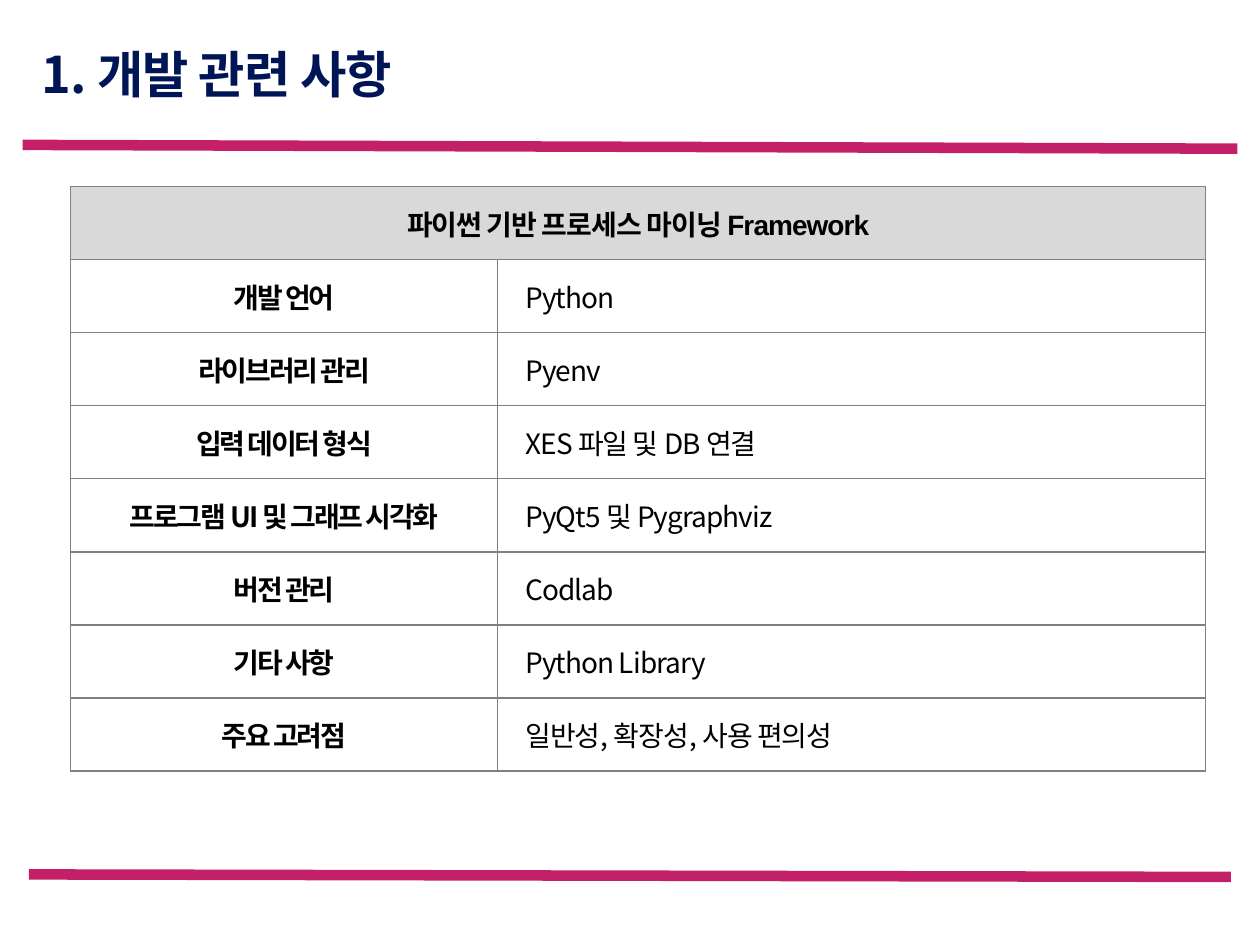
from lxml import etree
from pptx import Presentation
from pptx import util as u
from pptx.dml.color import RGBColor
from pptx.enum import shapes, text
from pptx.oxml import ns

WIDE, HIGH = 10, 7.5
SANS, LATIN = "Noto Sans CJK KR", "Arial"
HUES = {"rule": "C42067", "title": "001555", "text": "000000",
        "head": "D9D9D9", "cell": "FFFFFF", "grid": "808080"}
TITLE = "1. 개발 관련 사항"
HEAD = "파이썬 기반 프로세스 마이닝 Framework"
ROWS = [
    ("개발 언어", "Python"),
    ("라이브러리 관리", "Pyenv"),
    ("입력 데이터 형식", "XES 파일 및 DB 연결"),
    ("프로그램 UI 및 그래프 시각화", "PyQt5 및 Pygraphviz"),
    ("버전 관리", "Codlab"),
    ("기타 사항", "Python Library"),
    ("주요 고려점", "일반성, 확장성, 사용 편의성"),
]
COLS, ROW = (3.39, 5.62), 0.58
RULES = [(0.18, 1.15, 1.18), (0.23, 6.94, 6.96)]  # side margin, left y, right y


def hue(name):
    return RGBColor.from_string(HUES[name])


def node(parent, tag, **attrs):
    return etree.SubElement(parent, ns.qn(tag), **attrs)


def style(par, size, color, bold, track, latin=SANS):
    for run in par.runs:
        font = run.font
        font.size, font.bold, font.name = u.Pt(size), bold, latin
        font.color.rgb = hue(color)
        props = run._r.get_or_add_rPr()
        props.set("spc", str(round(track * 100)))
        node(props, "a:ea", typeface=SANS)


def add_title(slide):
    title = slide.shapes.title
    title.left, title.top = u.Inches(0.23), u.Inches(0.4)
    title.width, title.height = u.Inches(9.41), u.Inches(0.43)
    frame = title.text_frame
    frame.text = TITLE
    frame.auto_size = text.MSO_AUTO_SIZE.NONE
    frame.vertical_anchor = text.MSO_ANCHOR.MIDDLE
    par = frame.paragraphs[0]
    par.alignment, par.line_spacing = text.PP_ALIGN.LEFT, 0.9
    style(par, 28.8, "title", True, -0.5)


def add_rule(slide, side, start, end):
    line = slide.shapes.add_connector(
        shapes.MSO_CONNECTOR.STRAIGHT, u.Inches(side), u.Inches(start),
        u.Inches(WIDE - side), u.Inches(end))
    line.line.color.rgb, line.line.width = hue("rule"), u.Pt(6)
    node(line._element.spPr, "a:effectLst")


def frame_cell(cell):
    props = cell._tc.get_or_add_tcPr()
    for spot, edge in enumerate(("a:lnL", "a:lnR", "a:lnT", "a:lnB")):
        line = etree.Element(ns.qn(edge), w=str(u.Pt(1)))
        node(node(line, "a:solidFill"), "a:srgbClr", val=HUES["grid"])
        props.insert(spot, line)


def fill_cell(cell, words, fill="cell", label=True, track=-1.2, latin=SANS):
    cell.text_frame.text = words
    cell.vertical_anchor = text.MSO_ANCHOR.MIDDLE
    cell.fill.solid()
    cell.fill.fore_color.rgb = hue(fill)
    par = cell.text_frame.paragraphs[0]
    par.space_before = u.Pt(10 if label else 13)
    if label:
        par.alignment = text.PP_ALIGN.CENTER
    else:
        par._p.get_or_add_pPr().set("marL", str(u.Inches(0.12)))
    style(par, 16, "text", label, track, latin)


def add_grid(slide):
    count = len(ROWS) + 1
    table = slide.shapes.add_table(
        count, len(COLS), u.Inches(0.56), u.Inches(1.48),
        u.Inches(sum(COLS)), u.Inches(ROW * count)).table
    table.first_row = table.horz_banding = False
    for col, width in zip(table.columns, COLS):
        col.width = u.Inches(width)
    for row in table.rows:
        row.height = u.Inches(ROW)

    # Heading across both columns
    table.cell(0, 0).merge(table.cell(0, 1))
    fill_cell(table.cell(0, 0), HEAD, "head", track=-0.5, latin=LATIN)

    # Label and value pairs
    for spot, (label, value) in enumerate(ROWS, 1):
        fill_cell(table.cell(spot, 0), label)
        fill_cell(table.cell(spot, 1), value, label=False, track=-0.5)
    for cell in table.iter_cells():
        frame_cell(cell)


def main():
    deck = Presentation()
    deck.slide_width, deck.slide_height = u.Inches(WIDE), u.Inches(HIGH)
    slide = deck.slides.add_slide(deck.slide_layouts[5])
    for rule in RULES:
        add_rule(slide, *rule)
    add_title(slide)
    add_grid(slide)
    deck.save("out.pptx")


main()
